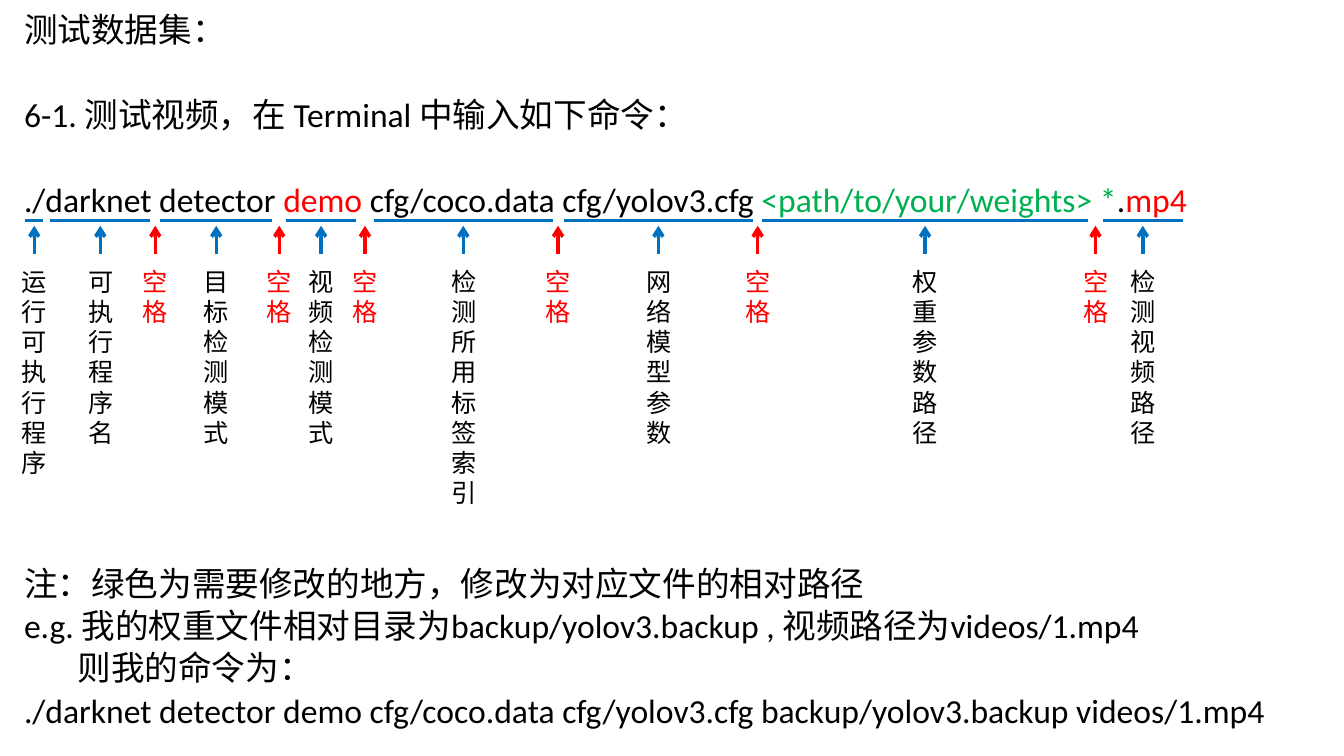
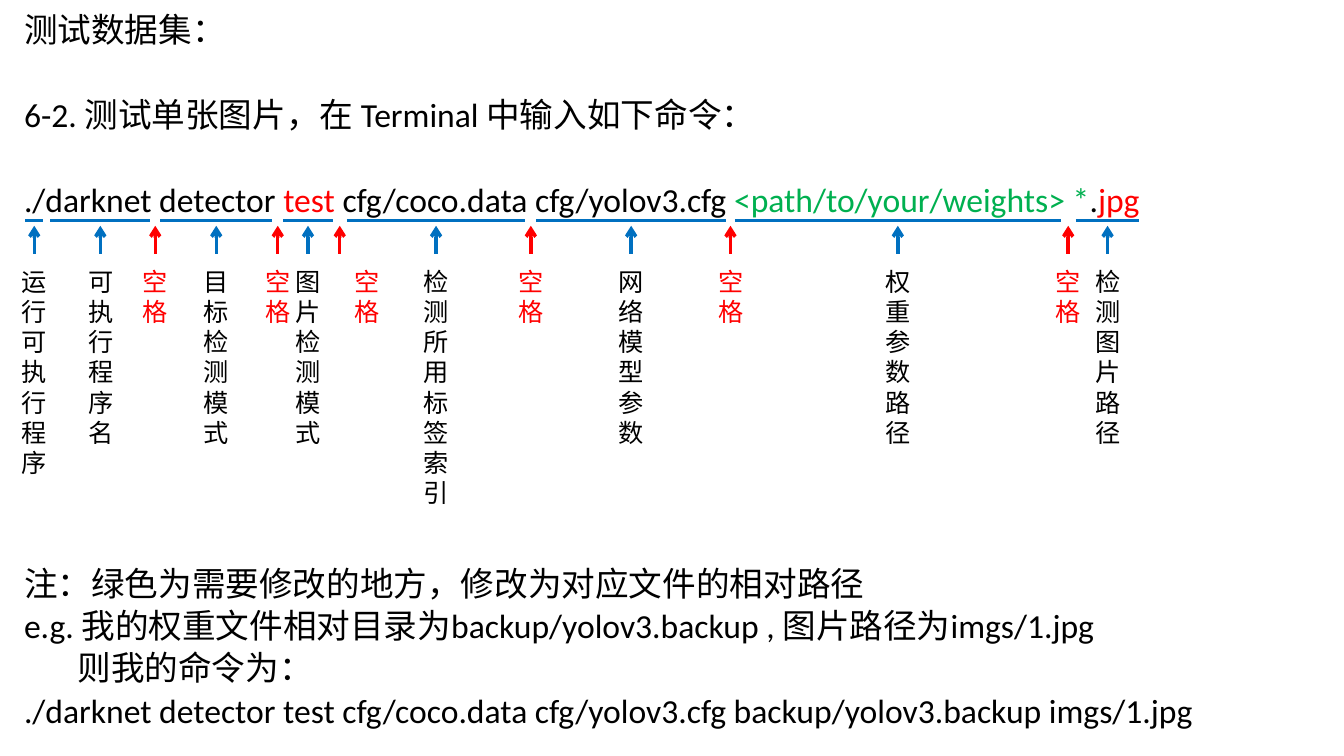
import pptx
import pptx.dml.color
import pptx.enum.shapes
import pptx.oxml
import pptx.oxml.ns
import pptx.util

Inches = pptx.util.Inches
Pt = pptx.util.Pt
RGBColor = pptx.dml.color.RGBColor

BLACK = RGBColor(0x00, 0x00, 0x00)
RED = RGBColor(0xFF, 0x00, 0x00)
GREEN = RGBColor(0x00, 0xB0, 0x50)
BLUE = RGBColor(0x00, 0x70, 0xC0)
FONT = "Calibri"

TEXT_BOX = (0.14, 0.15, 13.06, 7.21)
UNDERLINE_ORIGIN = (0.25, 2.19)
LINE_PITCH = 30.5
SPACE_BEFORE = 10
LABEL_WIDTH = 0.44
CHARACTER_HEIGHT = 0.3


def style_paragraph(paragraph, size, color=None):
    paragraph.font.name = FONT
    paragraph.font.size = Pt(size)
    if color is not None:
        paragraph.font.color.rgb = color


def add_text_frame(slide, left, top, width, height):
    box = slide.shapes.add_textbox(Inches(left), Inches(top), Inches(width), Inches(height))
    box.text_frame.word_wrap = True
    return box.text_frame


def add_line(slide, start, end, color, width, arrow=False):
    connector = slide.shapes.add_connector(
        pptx.enum.shapes.MSO_CONNECTOR.STRAIGHT, *map(Inches, start + end))
    connector.line.color.rgb = color
    connector.line.width = Pt(width)
    properties = connector.element.spPr
    if arrow:
        outline = properties.find(pptx.oxml.ns.qn("a:ln"))
        tail = pptx.oxml.parse_xml(f'<a:tailEnd {pptx.oxml.ns.nsdecls("a")} type="arrow"/>')
        outline.append(tail)
    properties.append(pptx.oxml.parse_xml(f'<a:effectLst {pptx.oxml.ns.nsdecls("a")}/>'))


def add_instructions(slide, box, heading, mode, extension, media, file):
    """Writes the whole text column; each line gives its skipped lines, indent and runs."""
    command = [("./darknet detector ", BLACK), (mode, RED),
               (" cfg/coco.data cfg/yolov3.cfg ", BLACK),
               ("<path/to/your/weights> *", GREEN), (".", BLACK), (extension, RED)]
    lines = [
        (0, 0, [("测试数据集：", BLACK)]),
        (1, 0, [(heading, BLACK)]),
        (1, 0, command),
        (8, 0, [("注：绿色为需要修改的地方，修改为对应文件的相对路径", BLACK)]),
        (0, 0, [(f"e.g. 我的权重文件相对目录为backup/yolov3.backup , {media}路径为{file}", BLACK)]),
        (0, 0.53, [("则我的命令为：", BLACK)]),
        (0, 0, [(f"./darknet detector {mode} cfg/coco.data cfg/yolov3.cfg "
                 f"backup/yolov3.backup {file}", BLACK)]),
    ]
    frame = add_text_frame(slide, *box)
    for index, (skipped, indent, runs) in enumerate(lines):
        paragraph = frame.add_paragraph() if index else frame.paragraphs[0]
        paragraph.line_spacing = 0.7
        paragraph.space_before = Pt(SPACE_BEFORE + skipped * LINE_PITCH)
        style_paragraph(paragraph, 24, BLACK if len(runs) == 1 else None)
        if indent:
            paragraph._p.get_or_add_pPr().set("marL", str(Inches(indent)))
        for text, color in runs:
            run = paragraph.add_run()
            run.text = text
            if len(runs) > 1:
                run.font.color.rgb = color


def add_label(slide, center, top, text, color):
    """Stacks the characters of a label by wrapping them in a narrow box."""
    frame = add_text_frame(slide, center - LABEL_WIDTH / 2, top, LABEL_WIDTH,
                           0.1 + CHARACTER_HEIGHT * len(text))
    paragraph = frame.paragraphs[0]
    paragraph.text = text
    style_paragraph(paragraph, 18, color)


def add_pointer(slide, center, top, text, color, label_shift=0):
    add_line(slide, (center, top + 0.33), (center, top + 0.05), color, 2.5, arrow=True)
    add_label(slide, center + label_shift, top + 0.4, text, color if color == RED else BLACK)


def annotate_command(slide, origin, tokens, space_shifts):
    """Underlines and explains each token, and marks each space between two tokens."""
    left, top = origin
    for start, end, text in tokens:
        add_line(slide, (left + start, top), (left + end, top), BLUE, 2)
        add_pointer(slide, left + (start + end) / 2, top, text, BLUE)
    # "./" and the program name are written together, without a space.
    for index in range(1, len(tokens) - 1):
        center = left + (tokens[index][1] + tokens[index + 1][0]) / 2
        add_pointer(slide, center, top, "空格", RED, space_shifts.get(index, 0))


def command_tokens(mode_start, mode_end, shift, file_end, media):
    """Offsets of the tokens; those behind the mode move with its length."""
    fixed = [(0, 0.18, "运行可执行程序"), (0.25, 1.24, "可执行程序名"),
             (1.34, 2.45, "目标检测模式"), (mode_start, mode_end, f"{media}检测模式")]
    moving = [(3.46, 5.23, "检测所用标签索引"), (5.34, 7.22, "网络模型参数"),
              (7.31, 10.54, "权重参数路径")]
    moved = [(start + shift, end + shift, text) for start, end, text in moving]
    return fixed + moved + [(10.69 + shift, file_end, f"检测{media}路径")]


def add_command_slide(presentation, heading, mode, extension, media, file,
                      tokens, space_shifts):
    slide = presentation.slides.add_slide(presentation.slide_layouts[6])
    add_instructions(slide, TEXT_BOX, heading, mode, extension, media, file)
    annotate_command(slide, UNDERLINE_ORIGIN, tokens, space_shifts)


def main():
    presentation = pptx.Presentation()
    presentation.slide_width = Inches(13.33)
    presentation.slide_height = Inches(7.5)
    add_command_slide(
        presentation, "6-1. 测试视频，在 Terminal 中输入如下命令：",
        "demo", "mp4", "视频", "videos/1.mp4",
        command_tokens(2.59, 3.28, 0, 11.48, "视频"), {})
    add_command_slide(
        presentation, "6-2. 测试单张图片，在 Terminal 中输入如下命令：",
        "test", "jpg", "图片", "imgs/1.jpg",
        command_tokens(2.56, 3.05, -0.27, 11.05, "图片"), {3: 0.27})
    presentation.save("out.pptx")


if __name__ == "__main__":
    main()
